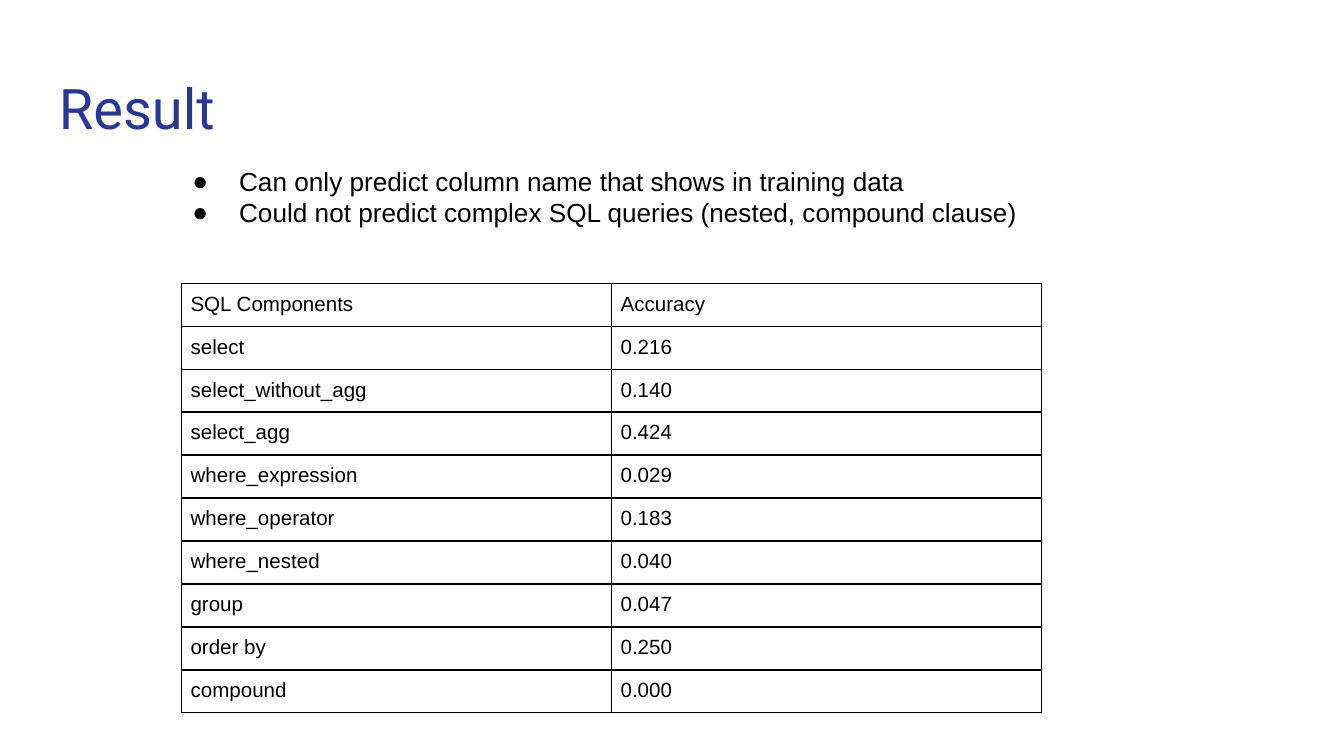
from dataclasses import dataclass
from typing import Any

from lxml.etree import SubElement
from pptx import Presentation
from pptx.dml.color import RGBColor
from pptx.enum.text import MSO_ANCHOR as Anchor
from pptx.oxml.ns import qn
from pptx.util import Pt

BULLETS = [
    "Can only predict column name that shows in training data",
    "Could not predict complex SQL queries (nested, compound clause)",
]
ACCURACY_ROWS = [
    ("SQL Components", "Accuracy"),
    ("select", "0.216"),
    ("select_without_agg", "0.140"),
    ("select_agg", "0.424"),
    ("where_expression", "0.029"),
    ("where_operator", "0.183"),
    ("where_nested", "0.040"),
    ("group", "0.047"),
    ("order by", "0.250"),
    ("compound", "0.000"),
]


def color(hex_code):
    return RGBColor.from_string(hex_code)


def write(paragraph, text, *, size, font="Arial", fill="000000", bullet=None):
    if bullet:
        properties = paragraph._p.get_or_add_pPr()
        properties.set("marL", str(Pt(36)))
        properties.set("indent", str(-Pt(25)))
        bullet_color = SubElement(properties, qn("a:buClr"))
        SubElement(bullet_color, qn("a:srgbClr"), val=fill)
        SubElement(properties, qn("a:buFont"), typeface=font)
        SubElement(properties, qn("a:buChar"), char=bullet)
    run = paragraph.add_run()
    run.text = text
    run.font.name = font
    run.font.size = Pt(size)
    run.font.color.rgb = color(fill)


def draw_borders(cell, hex_code, width):
    properties = cell._tc.get_or_add_tcPr()
    for index, side in enumerate(("lnL", "lnR", "lnT", "lnB")):
        line = properties.makeelement(qn(f"a:{side}"), {"w": str(Pt(width))})
        fill = SubElement(line, qn("a:solidFill"))
        SubElement(fill, qn("a:srgbClr"), val=hex_code)
        properties.insert(index, line)


@dataclass
class SlideBuilder:
    slide: Any
    title_color: str = "2A3990"
    line_color: str = "000000"
    inset: float = 7.2
    cell_inset: float = 4.9

    def text_box(self, left, top, width, height, lines, **text_format):
        shape = self.slide.shapes.add_textbox(Pt(left), Pt(top), Pt(width), Pt(height))
        frame = shape.text_frame
        frame.word_wrap = True
        frame.vertical_anchor = Anchor.TOP
        frame.margin_left = frame.margin_right = Pt(self.inset)
        frame.margin_top = frame.margin_bottom = Pt(self.inset)
        for index, line in enumerate(lines):
            paragraph = frame.add_paragraph() if index else frame.paragraphs[0]
            write(paragraph, line, **text_format)

    def title(self, left, top, width, height, text):
        self.text_box(left, top, width, height, [text],
                      size=30, font="Roboto", fill=self.title_color)

    def bullets(self, left, top, width, height, lines):
        self.text_box(left, top, width, height, lines, size=14, bullet="●")

    def table(self, left, top, column_width, row_height, rows):
        column_count = len(rows[0])
        frame = self.slide.shapes.add_table(
            len(rows), column_count, Pt(left), Pt(top),
            Pt(column_width * column_count), Pt(row_height * len(rows)))
        table = frame.table
        table.first_row = table.horz_banding = False
        for column in table.columns:
            column.width = Pt(column_width)
        for row, texts in zip(table.rows, rows):
            row.height = Pt(row_height)
            for cell, text in zip(row.cells, texts):
                cell.margin_left = cell.margin_right = Pt(self.cell_inset)
                cell.margin_top = cell.margin_bottom = Pt(self.cell_inset)
                cell.fill.background()
                draw_borders(cell, self.line_color, 1)
                write(cell.text_frame.paragraphs[0], text, size=11)


def main():
    presentation = Presentation()
    presentation.slide_width, presentation.slide_height = Pt(720), Pt(405)
    builder = SlideBuilder(presentation.slides.add_slide(presentation.slide_layouts[6]))
    builder.title(24.5, 32.4, 671, 47.5, "Result")
    builder.table(97.2, 151.9, 230.4, 22.45, ACCURACY_ROWS)
    builder.bullets(85, 81.4, 530, 53.3, BULLETS)
    presentation.save("out.pptx")


if __name__ == "__main__":
    main()
